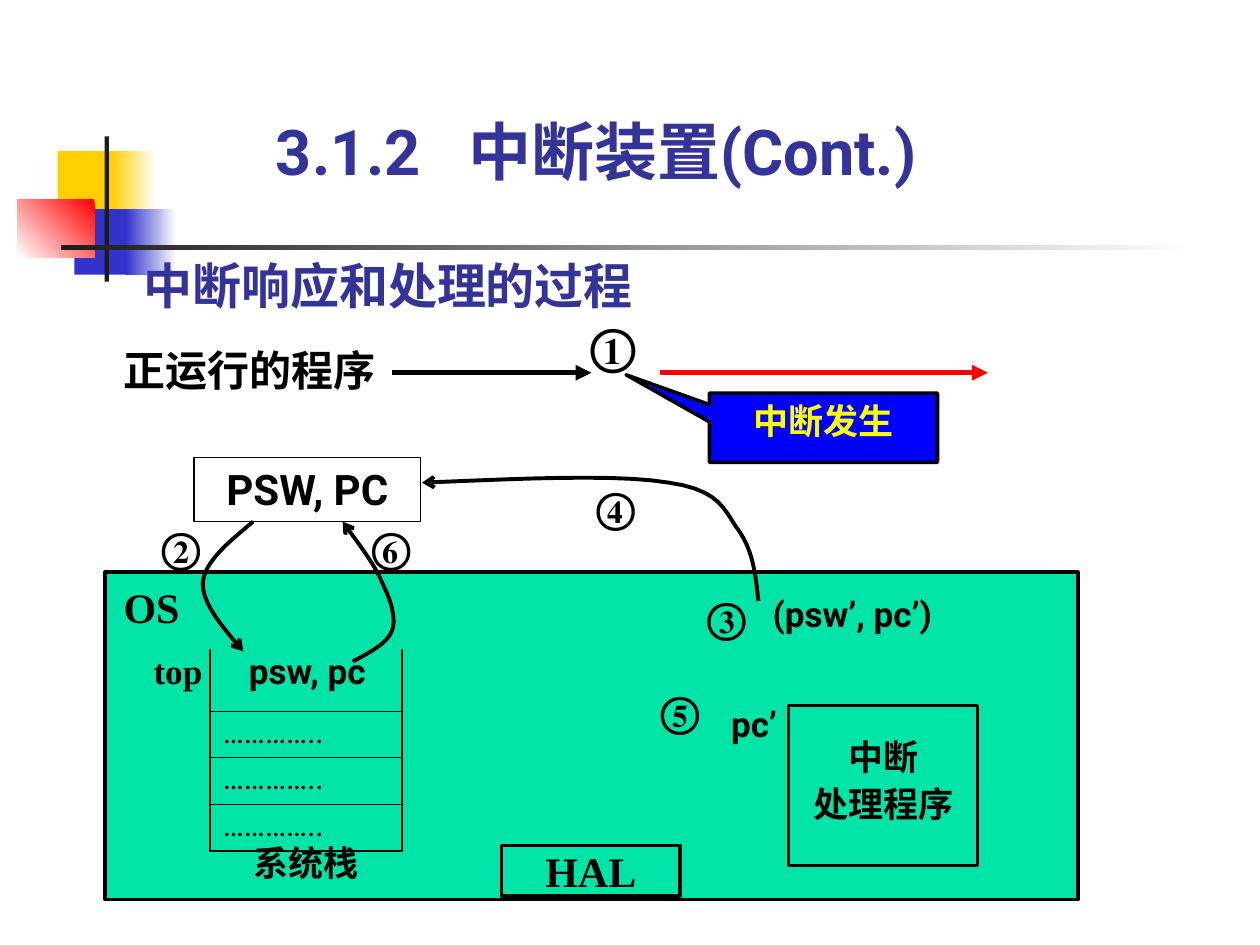
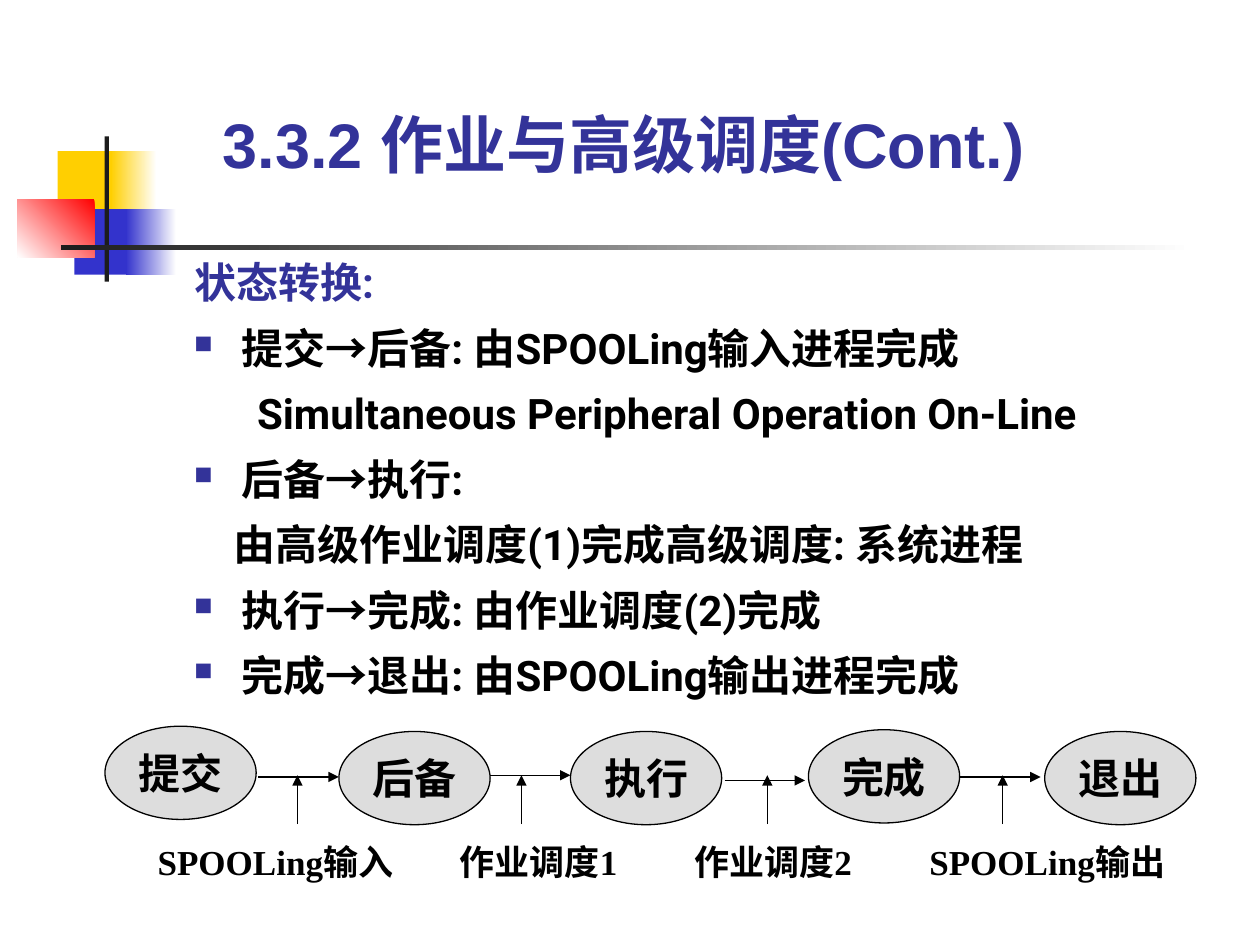
from lxml.etree import SubElement
from pptx import Presentation
from pptx.dml.color import RGBColor
from pptx.enum.shapes import MSO_CONNECTOR, MSO_SHAPE
from pptx.enum.text import MSO_ANCHOR, MSO_AUTO_SIZE, PP_ALIGN
from pptx.oxml.ns import qn
from pptx.util import Pt

BLACK = RGBColor(0x00, 0x00, 0x00)
WHITE = RGBColor(0xFF, 0xFF, 0xFF)
INK = RGBColor(0x1C, 0x1C, 0x1C)
NAVY = RGBColor(0x33, 0x33, 0x99)
ROYAL = RGBColor(0x33, 0x33, 0xCC)
BLUE = RGBColor(0x00, 0x00, 0xFF)
GOLD = RGBColor(0xFF, 0xCF, 0x01)
YELLOW = RGBColor(0xFF, 0xFF, 0x00)
RED = RGBColor(0xFF, 0x00, 0x00)
GREEN = RGBColor(0x00, 0xE4, 0xA8)
GREY = RGBColor(0xDD, 0xDD, 0xDD)

ARIAL, ROBOTO, TIMES = "Arial", "Roboto", "Times New Roman"
CENTER, LEFT = PP_ALIGN.CENTER, PP_ALIGN.LEFT
TOP, MIDDLE, BOTTOM = MSO_ANCHOR.TOP, MSO_ANCHOR.MIDDLE, MSO_ANCHOR.BOTTOM
NO_INSET, INSET = (0, 0, 0, 0), (7.2, 3.6, 7.2, 3.6)


def child(parent, tag, **attrs):
    """Append a DrawingML element and return it."""
    return SubElement(parent, qn(f"a:{tag}"), **attrs)


def add_runs(p, text, size=24, font=TIMES, color=BLACK, bold=True):
    """Fill a paragraph, setting any state arrow in Arial."""
    for part in filter(None, text.partition("→")):
        r = p.add_run()
        r.text = part
        r.font.size, r.font.bold = Pt(size), bold
        r.font.name = ARIAL if part == "→" else font
        r.font.color.rgb = color


def write(tf, text, align=LEFT, spacing=1.0, anchor=TOP, inset=NO_INSET,
          wrap=True, tab=None, **fmt):
    """Write lines of text into a frame with the given format."""
    tf.word_wrap, tf.auto_size = wrap, MSO_AUTO_SIZE.NONE
    tf.vertical_anchor = anchor
    tf.margin_left, tf.margin_top, tf.margin_right, tf.margin_bottom = map(Pt, inset)
    for i, line in enumerate(text.split("\n")):
        p = tf.add_paragraph() if i else tf.paragraphs[0]
        if tab:
            tabs = child(p._p.get_or_add_pPr(), "tabLst")
            child(tabs, "tab", pos=str(Pt(tab)), algn="l")
        p.alignment, p.line_spacing = align, spacing
        add_runs(p, line, **fmt)


def add_label(s, x, y, w, h, text, **fmt):
    """Add a text box."""
    write(s.shapes.add_textbox(Pt(x), Pt(y), Pt(w), Pt(h)).text_frame, text, **fmt)


def add_box(s, x, y, w, h, text="", fill=None, line=None, weight=2,
            kind=MSO_SHAPE.RECTANGLE, **fmt):
    """Add a flat preset shape, with text if there is any."""
    sp = s.shapes.add_shape(kind, Pt(x), Pt(y), Pt(w), Pt(h))
    sp.shadow.inherit = False
    if fill is None:
        sp.fill.background()
    else:
        sp.fill.solid()
        sp.fill.fore_color.rgb = fill
    if line is None:
        sp.line.fill.background()
    else:
        sp.line.color.rgb, sp.line.width = line, Pt(weight)
    if text:
        write(sp.text_frame, text, align=CENTER, **fmt)
    return sp


def add_gradient(s, x, y, w, h, start, end, angle=180):
    """Add a rectangle fading from one colour to another."""
    sp = add_box(s, x, y, w, h)
    sp.fill.gradient()
    sp.fill.gradient_angle = angle
    for stop, color, position in zip(sp.fill.gradient_stops, (start, end), (0, 1)):
        stop.color.rgb, stop.position = color, position


def finish_arrow(sp, color, weight, head):
    """Colour a line and give its end an arrowhead."""
    sp.line.color.rgb, sp.line.width = color, Pt(weight)
    child(sp.line._get_or_add_ln(), "tailEnd", type=head)


def add_arrow(s, x1, y1, x2, y2, color=BLACK, weight=0.75):
    """Add a straight arrow."""
    sp = s.shapes.add_connector(MSO_CONNECTOR.STRAIGHT, Pt(x1), Pt(y1), Pt(x2), Pt(y2))
    finish_arrow(sp, color, weight, "triangle")
    child(sp._element.spPr, "effectLst")


def bezier(points, steps=10):
    """Return points along a chain of cubic curves."""
    out = []
    for i in range(0, len(points) - 1, 3):
        for k in range(1, steps + 1):
            t = k / steps
            weights = ((1 - t) ** 3, 3 * t * (1 - t) ** 2, 3 * t * t * (1 - t), t ** 3)
            out.append(tuple(sum(c * v for c, v in zip(weights, axis))
                             for axis in zip(*points[i:i + 4])))
    return out


def add_curve(s, x, y, points):
    """Add a curved arrow through control points relative to x, y."""
    points = [(x + dx, y + dy) for dx, dy in points]
    builder = s.shapes.build_freeform(Pt(points[0][0]), Pt(points[0][1]))
    builder.add_line_segments([(Pt(a), Pt(b)) for a, b in bezier(points)], close=False)
    sp = builder.convert_to_shape()
    sp.shadow.inherit = False
    sp.fill.background()
    finish_arrow(sp, BLACK, 2.25, "arrow")


def add_step(s, x, y, number, size=24):
    """Add a circled step number."""
    add_label(s, x, y, size, 23, number, size=size, spacing=0.8, wrap=False)


def move(sp, x, y, w, h):
    """Place a placeholder."""
    sp.left, sp.top, sp.width, sp.height = Pt(x), Pt(y), Pt(w), Pt(h)


def draw_theme(s, x, y):
    """Draw the coloured squares and the fading rule."""
    add_box(s, x + 23, y + 8.4, 34.5, 37.4, fill=GOLD)
    add_gradient(s, x + 53.4, y + 8.4, 26, 37.4, WHITE, GOLD)
    add_box(s, x + 32.5, y + 41.5, 33, 37.4, fill=ROYAL)
    add_gradient(s, x + 62, y + 41.5, 28.8, 37.4, WHITE, ROYAL)
    add_gradient(s, x, y + 35.8, 44, 33.2, RED, WHITE, 225)
    add_box(s, x + 49.8, y, 2.4, 83, fill=INK)
    add_gradient(s, x + 24.6, y + 62.2, 648, 2.4, WHITE, INK)


def new_slide(prs, layout, title, box, **fmt):
    """Add a slide with the theme and a placed title."""
    s = prs.slides.add_slide(prs.slide_layouts[layout])
    draw_theme(s, 10, 78)
    move(s.shapes.title, *box)
    write(s.shapes.title.text_frame, title, size=36, color=NAVY, **fmt)
    return s


def draw_program(s, x, y):
    """Draw the running program and the interrupt that stops it."""
    add_label(s, x + 0.5, y + 16.3, 170, 23, "正运行的程序", spacing=0.8)
    add_arrow(s, x + 154, y + 27, x + 268, y + 27, weight=3)
    add_arrow(s, x + 307, y + 27, x + 494.5, y + 27, RED, 3)
    add_step(s, x + 267.7, y + 0.5, "①", 28)
    sp = add_box(s, x + 335.4, y + 38.6, 130.3, 39.6, "中断发生", BLUE, BLACK, size=20,
                 color=YELLOW, inset=INSET, kind=MSO_SHAPE.RECTANGULAR_CALLOUT)
    sp.adjustments[0], sp.adjustments[1] = -0.866, -0.764


def set_border(cell, sides):
    """Set cell borders from side and width pairs; zero hides a side."""
    tc_pr = cell._tc.get_or_add_tcPr()
    for side, weight in sides:
        ln = child(tc_pr, f"ln{side}", w=str(Pt(weight)))
        if weight:
            child(child(ln, "solidFill"), "srgbClr", val=str(BLACK))
        else:
            child(ln, "noFill")


def draw_stack(s, x, y, w, top=35.5, row=26.7, count=4):
    """Draw the system stack as a table open at the top."""
    table = s.shapes.add_table(count, 1, Pt(x), Pt(y), Pt(w),
                               Pt(top + row * (count - 1))).table
    table.first_row = table.horz_banding = False
    for i in range(count):
        table.rows[i].height = Pt(row if i else top)
        cell = table.cell(i, 0)
        set_border(cell, (("L", 1.08), ("R", 1.08), ("T", 0.45 if i else 0),
                          ("B", 1.08 if i == count - 1 else 0.45)))
        cell.fill.background()
        cell.vertical_anchor = MIDDLE
        if i:
            p = cell.text_frame.paragraphs[0]
            p.line_spacing = 0.8
            add_runs(p, "…………..", size=18, font=ROBOTO, bold=False)


def draw_system(s, x, y, w, h):
    """Draw the operating system with its stack and handler."""
    add_box(s, x, y, w, h, fill=GREEN, line=BLACK)
    add_box(s, x + 226.6, y + 156.1, 102, 28.8, "HAL", line=BLACK)
    draw_stack(s, x + 60.2, y + 43.8, 109.4)
    add_label(s, x + 10.6, y + 10.7, 40, 23, "OS", spacing=0.8)
    for text, dx, dy, width, font, align in (
            ("系统栈", 84.7, 158.3, 67.7, TIMES, LEFT),
            ("top", 27.8, 48.8, 33.8, TIMES, LEFT),
            ("psw, pc", 67.4, 48.8, 96.5, ROBOTO, CENTER),
            ("(psw’, pc’)", 367.7, 16.4, 118.8, ROBOTO, CENTER),
            ("pc’", 351.1, 79, 39.6, ROBOTO, CENTER)):
        add_label(s, x + dx, y + dy, width, 19.4, text, size=20, font=font,
                  align=align, spacing=0.8)
    add_box(s, x + 390.7, y + 76.2, 108, 91.4, "中断\n处理程序", line=BLACK, size=20,
            spacing=1.1, inset=(7.2, 15, 7.2, 24))
    add_step(s, x + 343.9, y + 16.4, "③")
    add_step(s, x + 317.3, y + 70.4, "⑤")


def draw_transfers(s, x, y):
    """Draw the registers and the curves that save and load them."""
    add_box(s, x + 18.9, y + 0.4, 129.6, 36.7, "PSW, PC", WHITE, BLACK, 0.75,
            font=ROBOTO, inset=INSET)
    save = ((52.7, 37.1), (39, 48.6), (25.4, 59.4), (23.9, 71.6),
            (23.2, 83.9), (35.4, 97.6), (47, 111.2))
    load = ((341.4, 82.4), (340, 68.8), (338.6, 54.4), (330.6, 42.8), (322, 31.3),
            (320.6, 19.1), (290.3, 14.8), (260.1, 9.7), (204.6, 12.6), (149.2, 14.8))
    restore = ((109.6, 117), (119, 112), (129, 106.9), (131.9, 99.7), (134.8, 92.5),
               (131.2, 81.7), (126.2, 71.6), (121.8, 60.8), (112.5, 49.3), (103.8, 37.1))
    for number, dx, dy, points in (("②", 0.2, 42.8, save), ("④", 248.6, 19.8, load),
                                   ("⑥", 120.4, 42.8, restore)):
        add_curve(s, x, y, points)
        add_step(s, x + dx, y + dy, number)


def draw_list(sp, x, y, w, h):
    """Fill the body placeholder with the state changes."""
    move(sp, x, y, w, h)
    plain, deep, bullet = (22.5, 0), (58, -22), (27, -27)
    items = (("状态转换:", (27, -27), NAVY),
             ("提交→后备: 由SPOOLing输入进程完成", bullet, BLACK),
             ("Simultaneous Peripheral Operation On-Line", deep, BLACK),
             ("后备→执行:", bullet, BLACK),
             ("由高级作业调度(1)完成高级调度: 系统进程", plain, BLACK),
             ("执行→完成: 由作业调度(2)完成", bullet, BLACK),
             ("完成→退出: 由SPOOLing输出进程完成", bullet, BLACK))
    tf = sp.text_frame
    tf.auto_size = MSO_AUTO_SIZE.NONE
    tf.margin_left = tf.margin_top = tf.margin_right = tf.margin_bottom = 0
    for i, (text, (margin, indent), color) in enumerate(items):
        p = tf.add_paragraph() if i else tf.paragraphs[0]
        p_pr = p._p.get_or_add_pPr()
        p_pr.set("marL", str(Pt(margin)))
        p_pr.set("indent", str(Pt(indent)))
        if "→" in text:
            child(child(p_pr, "buClr"), "srgbClr", val=str(NAVY))
            child(p_pr, "buSzPct", val="60000")
            child(p_pr, "buFont", typeface="Wingdings")
            child(p_pr, "buChar", char="n")
        else:
            child(p_pr, "buNone")
        p.line_spacing, p.space_before = 1.3, Pt(0)
        add_runs(p, text, font=ROBOTO, color=color)


def draw_states(s, x, y):
    """Draw the job states and the step between each two."""
    for text, dx, dy in (("提交", 0, 0), ("后备", 133.7, 3), ("执行", 266, 3),
                         ("完成", 402, 2), ("退出", 537, 3)):
        add_box(s, x + dx, y + dy, 86.4, 53.3, text, GREY, BLACK, 0.75,
                kind=MSO_SHAPE.OVAL, anchor=MIDDLE, inset=INSET, wrap=False)
    for text, start, level, pointer, left, width in (
            ("SPOOLing输入", 87.6, 29, 110, 23, 155),
            ("作业调度1", 220, 28, 238, 195.6, 110),
            ("作业调度2", 354, 31, 378.5, 329.5, 110),
            ("SPOOLing输出", 488.6, 29, 513, 464, 152)):
        add_arrow(s, x + start, y + level, x + start + 46, y + level)
        add_arrow(s, x + pointer, y + 56, x + pointer, y + 28)
        add_label(s, x + left, y + 61.5, width, 32, text, size=20, inset=INSET)


def interrupt_slide(prs):
    """Build the slide on interrupt handling."""
    s = new_slide(prs, 5, "3.1.2\t中断装置(Cont.)", (150.5, 60.5, 420, 50.4),
                  font=ROBOTO, anchor=BOTTOM, inset=INSET, tab=110)
    add_label(s, 82, 151.2, 289.4, 28, "中断响应和处理的过程", size=28, font=ROBOTO,
              color=NAVY, anchor=BOTTOM, spacing=0.8)
    draw_program(s, 70, 186)
    draw_system(s, 60, 327, 556, 187)
    draw_transfers(s, 92, 261)


def scheduling_slide(prs):
    """Build the slide on job scheduling."""
    s = new_slide(prs, 1, "3.3.2 作业与高级调度(Cont.)", (127.4, 60.5, 533, 43.2),
                  font=ARIAL, anchor=MIDDLE)
    draw_list(s.placeholders[1], 110.9, 138.2, 584, 262)
    draw_states(s, 60, 415)


def main():
    """Build and save the presentation."""
    prs = Presentation()
    prs.slide_width, prs.slide_height = Pt(720), Pt(540)
    interrupt_slide(prs)
    scheduling_slide(prs)
    prs.save("out.pptx")


if __name__ == "__main__":
    main()
